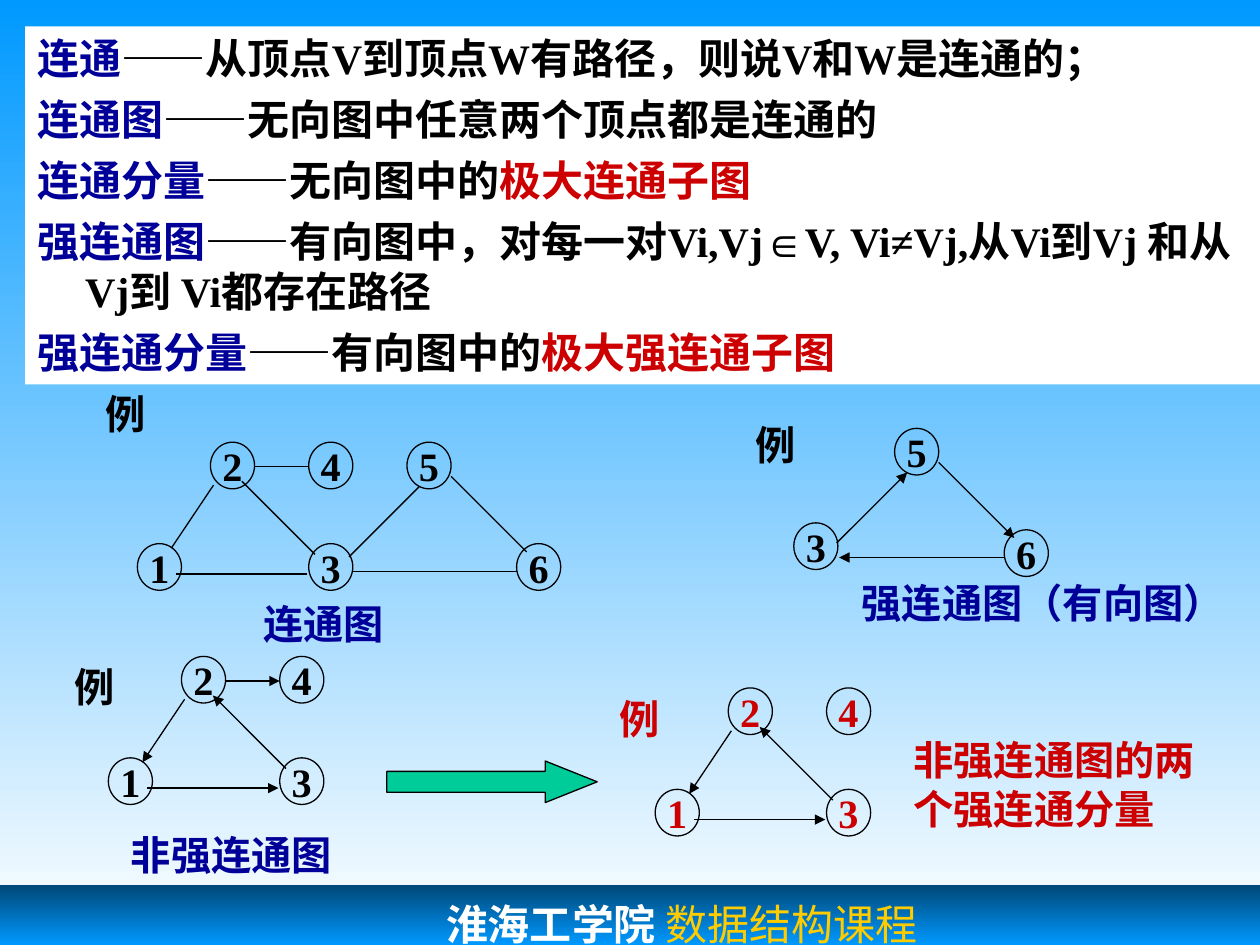
from dataclasses import dataclass, field

from pptx import Presentation
from pptx.dml.color import RGBColor
from pptx.enum.dml import MSO_LINE
from pptx.enum.shapes import MSO_CONNECTOR as Conn, MSO_SHAPE as Shp
from pptx.enum.text import MSO_ANCHOR as Anchor, MSO_AUTO_SIZE as Auto, PP_ALIGN as Align
from pptx.oxml.ns import qn
from pptx.util import Emu, Inches, Pt

BLACK = RGBColor(0x00, 0x00, 0x00)
WHITE = RGBColor(0xFF, 0xFF, 0xFF)
NAVY = RGBColor(0x00, 0x00, 0x99)
RED = RGBColor(0xCC, 0x00, 0x00)
SKY = RGBColor(0x00, 0x99, 0xFF)
DEEP = RGBColor(0x00, 0x47, 0x76)
GOLD = RGBColor(0xFF, 0xCC, 0x00)
GREEN = RGBColor(0x00, 0xCC, 0x99)
FONT = "Times New Roman"

WIDTH, HEIGHT = Inches(10), Inches(7.5)
COLS, ROWS = 100, 75
NODE_W, NODE_H = 3.5, 3.7

NODES = {"2": (0, 0), "4": (7.8, 0), "5": (15.6, 0),
         "1": (-5.8, 8.05), "3": (7.8, 8.05), "6": (24.3, 8.05)}
EDGES = {"24": (3.5, 1.95, 7.8, 1.95), "23": (2.5, 3.1, 8.3, 8.9),
         "63": (24.3, 10.25, 11.2, 10.25), "35": (11, 9.1, 16.6, 3.5),
         "56": (19.1, 2.7, 25.1, 8.7), "31": (7.7, 10.45, -2.7, 10.45),
         "12": (-3.1, 8.4, 0.25, 3.4)}


@dataclass
class Label:
    text: str
    box: tuple
    color: RGBColor
    wrap: bool = False
    align: Align = Align.LEFT


@dataclass
class Graph:
    origin: tuple
    nodes: str
    edges: dict
    labels: list
    color: RGBColor = BLACK
    moved: dict = field(default_factory=dict)


GRAPHS = [
    Graph((55.4, 34), "356", {"63": "tailEnd", "35": "tailEnd", "56": "tailEnd"},
          [Label("强连通图（有向图）", (67.4, 45.4, 30.8, 4.9), NAVY),
           Label("例", (59, 32.9, 5.2, 4.9), BLACK)],
          moved={"3": (7.6, 7.5)}),
    Graph((16.7, 35.1), "245136", dict.fromkeys(EDGES),
          [Label("连通图", (19.9, 47.1, 11.6, 4.9), NAVY),
           Label("例", (7.4, 30.4, 5.2, 4.9), BLACK, align=Align.CENTER)]),
    Graph((14.4, 52.1), "2413",
          {"24": "tailEnd", "23": "headEnd", "31": "headEnd", "12": "headEnd"},
          [Label("非强连通图", (9.4, 65.4, 18.1, 4.9), NAVY, wrap=True),
           Label("例", (4.9, 52.1, 5.2, 4.9), BLACK, align=Align.CENTER)]),
    Graph((57.8, 54.6), "2413", {"23": "headEnd", "31": "headEnd", "12": "headEnd"},
          [Label("例", (48.2, 54.6, 5.2, 4.9), RED, align=Align.CENTER),
           Label("非强连通图的两个强连通分量", (71.5, 57.9, 25, 8.7), RED, wrap=True)],
          color=RED),
]

DEFINITIONS = [
    [("连通", NAVY), ("——从顶点V到顶点W有路径，则说V和W是连通的；", BLACK)],
    [("连通图", NAVY), ("——无向图中任意两个顶点都是连通的", BLACK)],
    [("连通分量", NAVY), ("——无向图中的", BLACK), ("极大连通子图", RED)],
    [("强连通图", NAVY),
     ("——有向图中，对每一对Vi,Vj∈V, Vi≠Vj,从Vi到Vj 和从Vj到 Vi都存在路径", BLACK)],
    [("强连通分量", NAVY), ("——有向图中的", BLACK), ("极大强连通子图", RED)],
]


def at(*cells: float) -> list:
    return [Emu(round(c * (HEIGHT / ROWS if i % 2 else WIDTH / COLS)))
            for i, c in enumerate(cells)]


def add_text(p, text: str, *, color: RGBColor, size: float = 23,
             bold: bool = True, font: str = FONT) -> None:
    r = p.add_run()
    r.text = text
    r.font.name, r.font.size, r.font.bold = font, Pt(size), bold
    r.font.color.rgb = color


def set_gradient(fill, first: RGBColor, last: RGBColor) -> None:
    fill.gradient()
    fill.gradient_angle = 270
    for stop, color, pos in zip(fill.gradient_stops, (first, last), (0, 1)):
        stop.color.rgb, stop.position = color, pos


def set_outline(line) -> None:
    line.color.rgb, line.width, line.dash_style = BLACK, Pt(0.75), MSO_LINE.SOLID


def draw_label(shapes, label: Label) -> None:
    tf = shapes.add_textbox(*at(*label.box)).text_frame
    tf.word_wrap = label.wrap
    tf.paragraphs[0].alignment = label.align
    add_text(tf.paragraphs[0], label.text, color=label.color)


def draw_node(shapes, name: str, x: float, y: float, color: RGBColor) -> None:
    sp = shapes.add_shape(Shp.OVAL, *at(x, y, NODE_W, NODE_H))
    sp.shadow.inherit = False
    sp.fill.background()
    set_outline(sp.line)
    tf = sp.text_frame
    tf.word_wrap, tf.vertical_anchor = False, Anchor.MIDDLE
    tf.paragraphs[0].alignment = Align.CENTER
    add_text(tf.paragraphs[0], name, color=color)


def draw_edge(shapes, ends: list, arrow: str | None) -> None:
    cx = shapes.add_connector(Conn.STRAIGHT, *ends)
    set_outline(cx.line)
    if arrow:
        ln = cx.line._get_or_add_ln()
        ln.append(ln.makeelement(qn(f"a:{arrow}"), {"type": "triangle"}))
    sp_pr = cx._element.spPr
    sp_pr.append(sp_pr.makeelement(qn("a:effectLst"), {}))


def draw_graph(slide, graph: Graph) -> None:
    shapes = slide.shapes.add_group_shape().shapes
    x0, y0 = graph.origin
    for label in graph.labels:
        draw_label(shapes, label)
    for name in graph.nodes:
        dx, dy = graph.moved.get(name, NODES[name])
        draw_node(shapes, name, x0 + dx, y0 + dy, graph.color)
    for key, arrow in graph.edges.items():
        x1, y1, x2, y2 = EDGES[key]
        draw_edge(shapes, at(x0 + x1, y0 + y1, x0 + x2, y0 + y2), arrow)


def draw_footer(slide) -> None:
    sp = slide.shapes.add_shape(Shp.RECTANGLE, *at(0, 70.2, 100, 4.8))
    sp.shadow.inherit = False
    set_gradient(sp.fill, DEEP, SKY)
    sp.line.fill.background()
    tf = sp.text_frame
    tf.vertical_anchor = Anchor.TOP
    tf.margin_left, tf.margin_top = at(35.4, 1.1)
    tf.margin_bottom = 0
    p = tf.paragraphs[0]
    p.alignment = Align.LEFT
    add_text(p, "淮海工学院", color=WHITE, size=24, font="Courier New")
    add_text(p, " 数据结构课程", color=GOLD, size=24, bold=False)


def fill_body(body) -> None:
    body.left, body.top, body.width, body.height = at(2, 2.1, 98, 28.4)
    body.fill.solid()
    body.fill.fore_color.rgb = WHITE
    tf = body.text_frame
    tf.auto_size = Auto.NONE
    for i, runs in enumerate(DEFINITIONS):
        p = tf.add_paragraph() if i else tf.paragraphs[0]
        p.space_before = Pt(6 if i else 0)
        p_pr = p._p.get_or_add_pPr()
        p_pr.append(p_pr.makeelement(qn("a:buNone"), {}))
        for text, color in runs:
            add_text(p, text, color=color, size=24)


def draw_arrow(slide) -> None:
    sp = slide.shapes.add_shape(Shp.RIGHT_ARROW, *at(30.7, 60.4, 16.7, 3.3))
    sp.adjustments[0], sp.adjustments[1] = 0.5, 1.25
    sp.shadow.inherit = False
    sp.fill.solid()
    sp.fill.fore_color.rgb = GREEN
    set_outline(sp.line)


def main() -> None:
    prs = Presentation()
    prs.slide_width, prs.slide_height = WIDTH, HEIGHT
    slide = prs.slides.add_slide(prs.slide_layouts[1])
    set_gradient(slide.background.fill, SKY, WHITE)
    title = slide.shapes.title._element
    title.getparent().remove(title)
    fill_body(slide.placeholders[1])
    draw_footer(slide)
    for graph in GRAPHS:
        draw_graph(slide, graph)
    draw_arrow(slide)
    prs.save("out.pptx")


if __name__ == "__main__":
    main()
